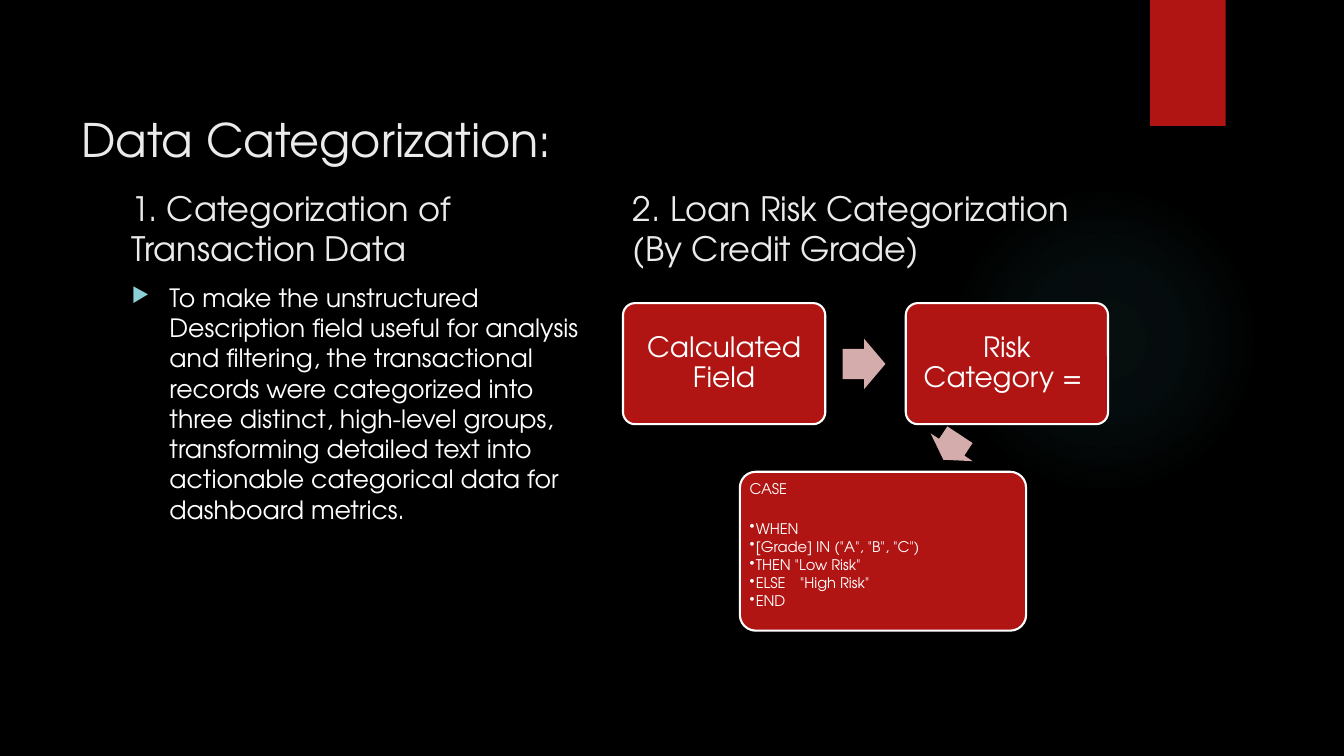
from lxml import etree
from pptx import Presentation
from pptx.dml.color import RGBColor
from pptx.enum.shapes import MSO_SHAPE
from pptx.enum.text import MSO_ANCHOR, MSO_AUTO_SIZE, PP_ALIGN
from pptx.oxml import parse_xml
from pptx.oxml.ns import qn
from pptx.util import Pt

ROUND = MSO_SHAPE.ROUNDED_RECTANGLE
ARROW = MSO_SHAPE.RIGHT_ARROW
RECT = MSO_SHAPE.RECTANGLE
OVAL = MSO_SHAPE.OVAL
TOP, MIDDLE, BOTTOM = MSO_ANCHOR.TOP, MSO_ANCHOR.MIDDLE, MSO_ANCHOR.BOTTOM
LEFT, CENTER = PP_ALIGN.LEFT, PP_ALIGN.CENTER
FONT = "TeX Gyre Adventor"
C = {"black": "000000", "red": "B01513", "pink": "D4ACAB", "white": "FFFFFF",
     "heading": "EBEBEB", "bullet": "8AD0D6", "glow": "50B9C1"}
A_NS = "http://schemas.openxmlformats.org/drawingml/2006/main"


def add_shape(kind, box, color, outlined=False):
    sp = s.shapes.add_shape(kind, *[Pt(v) for v in box])
    sp.shadow.inherit = False
    sp.fill.solid()
    sp.fill.fore_color.rgb = RGBColor.from_string(C[color])
    if outlined:
        sp.line.color.rgb = RGBColor.from_string(C["white"])
        sp.line.width = Pt(1.5)
    else:
        sp.line.fill.background()
    return sp


def write(sp, lines, size, color="white", anchor=TOP, align=LEFT, inset=None):
    tf = sp.text_frame
    tf.word_wrap = True
    tf.auto_size = MSO_AUTO_SIZE.NONE
    tf.vertical_anchor = anchor
    if inset is not None:
        tf.margin_left = tf.margin_right = tf.margin_top = tf.margin_bottom = Pt(inset)
    for i, line in enumerate(lines):
        p = tf.paragraphs[0] if i == 0 else tf.add_paragraph()
        p.alignment = align
        r = p.add_run()
        r.text = line
        r.font.name = FONT
        r.font.size = Pt(size)
        r.font.color.rgb = RGBColor.from_string(C[color])
    return tf


prs = Presentation()
prs.slide_width, prs.slide_height = Pt(960), Pt(540)
s = prs.slides.add_slide(prs.slide_layouts[5])
s.background.fill.solid()
s.background.fill.fore_color.rgb = RGBColor.from_string(C["black"])

glow = add_shape(OVAL, (677.5, 131.8, 221.8, 221.8), "glow")
stops = "".join(
    f'<a:gs pos="{pos * 1000}"><a:srgbClr val="{C["glow"]}"><a:alpha val="{alpha * 1000}"/></a:srgbClr></a:gs>'
    for pos, alpha in ((0, 7), (36, 6), (69, 0)))
solid = glow._element.spPr.find(qn("a:solidFill"))
solid.getparent().replace(solid, parse_xml(
    f'<a:gradFill xmlns:a="{A_NS}" rotWithShape="1"><a:gsLst>{stops}</a:gsLst><a:path path="circle">'
    '<a:fillToRect l="50000" t="50000" r="50000" b="50000"/></a:path></a:gradFill>'))
add_shape(RECT, (821.5, 0, 54, 90), "red")

title = s.shapes.title
title.left, title.top, title.width, title.height = Pt(51), Pt(36), Pt(741), Pt(110)
tf = write(title, ["Data Categorization:"], 33, "heading")
tf.margin_top = Pt(43.2)

for left, heading in ((87, "1. Categorization of Transaction Data"),
                      (445, "2. Loan Risk Categorization (By Credit Grade)")):
    tb = s.shapes.add_textbox(Pt(left), Pt(127), Pt(346.5), Pt(68))
    write(tb, [heading], 24, "heading", BOTTOM)

body = s.shapes.add_textbox(Pt(87), Pt(198), Pt(346.5), Pt(294.5))
tf = write(body, ["To make the unstructured Description field useful for analysis and filtering, "
                  "the transactional records were categorized into three distinct, high-level groups, "
                  "transforming detailed text into actionable categorical data for dashboard metrics."], 18)
pPr = tf.paragraphs[0]._p.get_or_add_pPr()
pPr.set("marL", str(Pt(27)))
pPr.set("indent", str(-Pt(27)))
bu_clr = etree.SubElement(pPr, qn("a:buClr"))
etree.SubElement(bu_clr, qn("a:srgbClr"), val=C["bullet"])
etree.SubElement(pPr, qn("a:buSzPct"), val="80000")
etree.SubElement(pPr, qn("a:buChar"), char="▶")

for left, label in ((445, "Calculated Field"), (647, "Risk Category = ")):
    sp = add_shape(ROUND, (left, 216.5, 144.5, 86.5), "red", True)
    sp.adjustments[0] = 0.1
    tf = write(sp, [label], 20, anchor=MIDDLE, align=CENTER, inset=6)
    tf.paragraphs[0].line_spacing = 0.9

for box, angle in (((602, 242, 30.5, 36), 0), ((669, 301.5, 21.5, 36), 123.5)):
    sp = add_shape(ARROW, box, "pink")
    sp.adjustments[0], sp.adjustments[1] = 0.6, 0.5
    sp.rotation = angle

code = add_shape(ROUND, (528.5, 337, 204.5, 113.5), "red", True)
code.adjustments[0] = 0.1
tf = write(code, ["CASE", "WHEN", '[Grade] IN ("A", "B", "C")', 'THEN "Low Risk"',
                  'ELSE \t"High Risk"', "END"], 10.5, inset=3.6)
for i, p in enumerate(tf.paragraphs):
    p.line_spacing = 0.9
    p.space_after = Pt(1.6 if i else 17.2)
    if i:
        pPr = p._p.get_or_add_pPr()
        pPr.set("marL", str(Pt(4.5)))
        pPr.set("indent", str(-Pt(4.5)))
        etree.SubElement(pPr, qn("a:buChar"), char="•")
        tabs = etree.SubElement(pPr, qn("a:tabLst"))
        etree.SubElement(tabs, qn("a:tab"), pos=str(Pt(36)), algn="l")

prs.save("out.pptx")
